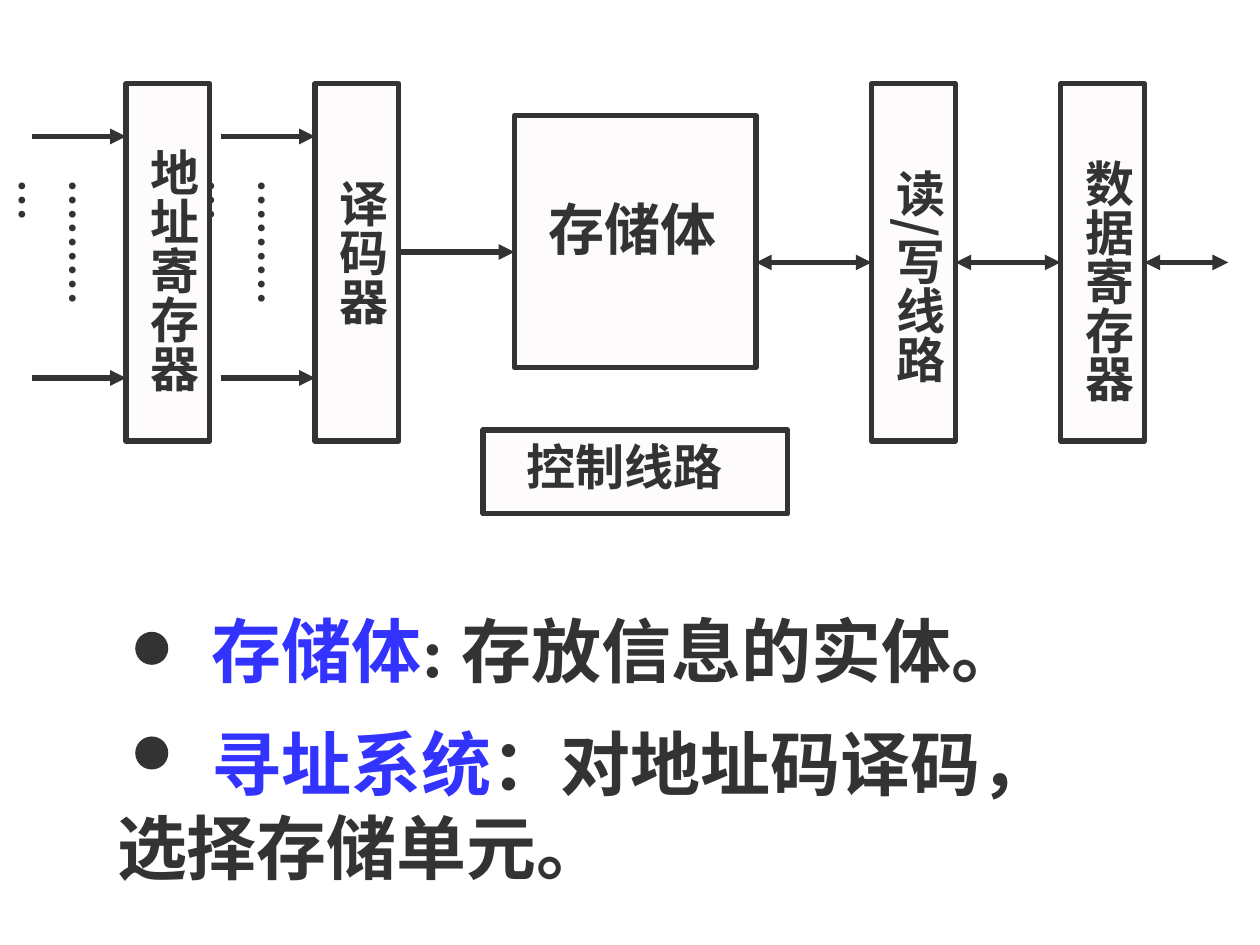
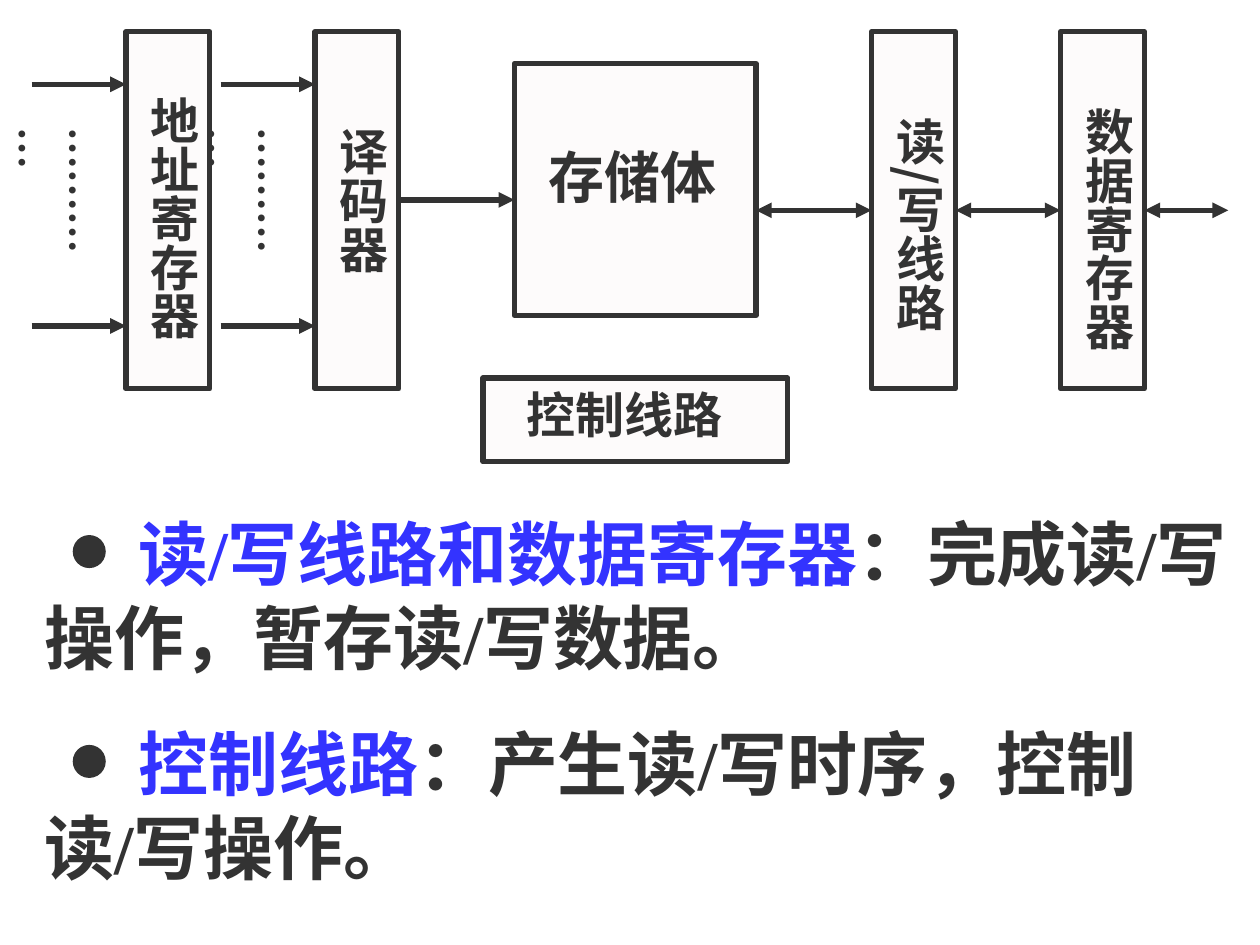
"""Builds two slides that explain the parts of a memory and their roles."""
from lxml import etree
from pptx import Presentation, util as u
from pptx.dml.color import RGBColor
from pptx.enum import shapes, text
from pptx.oxml.ns import qn

INK = RGBColor(0x33, 0x33, 0x33)
PANEL = RGBColor(0xFD, 0xFB, 0xFB)
TERM = RGBColor(0x33, 0x33, 0xFF)
LATIN, CJK = "Times New Roman", "Noto Sans CJK SC"

REGISTER_W, REGISTER_H = 1.69, 7.2
COLUMN_STEP = 3.81
ADDRESS_X, READ_WRITE_X = 2.54, 17.57
DECODER_X, DATA_X = ADDRESS_X + COLUMN_STEP, READ_WRITE_X + COLUMN_STEP
STORAGE_X, STORAGE_W = 10.37, 4.87
LEFT_SIDE, RIGHT_SIDE = 1, 3

HORIZONTAL = {"margin_left": u.Cm(0.25), "margin_right": u.Cm(0.25),
              "margin_top": u.Cm(0.13), "margin_bottom": u.Cm(0.13)}
VERTICAL = {"margin_left": u.Cm(0.13), "margin_right": u.Cm(0.13),
            "margin_top": u.Cm(0.25), "margin_bottom": u.Cm(0.25)}
FRAME = {"word_wrap": True, "auto_size": text.MSO_AUTO_SIZE.SHAPE_TO_FIT_TEXT}


def apply(target, values):
    for name, value in values.items():
        setattr(target, name, value)


class Deck:
    def __init__(self):
        self.prs = Presentation()
        apply(self.prs, {"slide_width": u.Cm(25.4), "slide_height": u.Cm(19.05)})

    def new_slide(self):
        self.slide = self.prs.slides.add_slide(self.prs.slide_layouts[6])
        self.canvas = self.slide.shapes

    def solid(self, preset, box, fill, weight):
        shape = self.canvas.add_shape(preset, *map(u.Cm, box))
        shape.shadow.inherit = False
        shape.fill.solid()
        shape.fill.fore_color.rgb = fill
        shape.line.color.rgb = INK
        shape.line.width = u.Pt(weight)
        return shape

    def block(self, *box):
        return self.solid(shapes.MSO_SHAPE.RECTANGLE, box, PANEL, 3)

    def dot(self, left, top):
        self.solid(shapes.MSO_SHAPE.OVAL, (left, top, 0.64, 0.64), INK, 0.75)

    def label(self, box, runs, size, vertical=False, latin=LATIN, indent=0):
        frame = self.canvas.add_textbox(*map(u.Cm, box)).text_frame
        apply(frame, FRAME | (VERTICAL if vertical else HORIZONTAL))
        if vertical:
            frame._txBody.bodyPr.set("vert", "eaVert")
        paragraph = frame.paragraphs[0]
        if indent:
            paragraph._p.get_or_add_pPr().set("indent", str(u.Cm(indent)))
        for words, color in runs:
            run = paragraph.add_run()
            run.text = words
            apply(run.font, {"size": u.Pt(size), "bold": True, "name": latin})
            run.font.color.rgb = color
            etree.SubElement(run._r.rPr, qn("a:ea"), typeface=CJK)

    def arrow(self, start, end, y, source=None, target=None, both=False):
        link = self.canvas.add_connector(shapes.MSO_CONNECTOR.STRAIGHT,
                                         u.Cm(start), u.Cm(y), u.Cm(end), u.Cm(y))
        link.line.color.rgb = INK
        link.line.width = u.Pt(3)
        for tag in ("a:headEnd", "a:tailEnd")[0 if both else 1:]:
            etree.SubElement(link.line._get_or_add_ln(), qn(tag), type="triangle")
        etree.SubElement(link._element.spPr, qn("a:effectLst"))
        if source:
            link.begin_connect(source, RIGHT_SIDE)
        if target:
            link.end_connect(target, LEFT_SIDE)

    def memory_diagram(self, top):
        self.canvas = self.slide.shapes.add_group_shape().shapes
        self.block(STORAGE_X, top + 0.64, STORAGE_W, 5.08)
        address, decoder, read_write, data = [
            self.block(x, top, REGISTER_W, REGISTER_H)
            for x in (ADDRESS_X, DECODER_X, READ_WRITE_X, DATA_X)]
        self.block(9.74, top + 6.98, 6.14, 1.69)

        self.label((10.8, top + 2.11, 4.01, 1.63), [("存储体", INK)], 32)
        for words, x, drop, height, latin in (
                ("地址寄存器", ADDRESS_X, 1.05, 5.92, LATIN),
                ("译码器", DECODER_X, 1.68, 4.65, LATIN),
                ("读/写线路", READ_WRITE_X, 1.48, 6.15, CJK),
                ("数据寄存器", DATA_X, 1.27, 5.51, LATIN)):
            self.label((x, top + drop, 1.68, height), [(words, INK)], 28, True, latin)
        self.label((10.37, top + 6.98, 5.72, 1.45), [("控制线路", INK)], 28)

        for x in (ADDRESS_X, DECODER_X):
            for drop in (1.06, 5.93):
                self.arrow(x - 1.9, x, top + drop)
            self.label((x - 1.68, top + 1.68, 1.52, 3.81), [("…………", INK)], 24, True)
        self.arrow(DECODER_X + REGISTER_W, STORAGE_X, top + 3.39)

        middle = top + REGISTER_H / 2
        self.arrow(STORAGE_X + STORAGE_W, READ_WRITE_X, middle,
                   target=read_write, both=True)
        self.arrow(READ_WRITE_X + REGISTER_W, DATA_X, middle, read_write, data, True)
        self.arrow(DATA_X + REGISTER_W, 24.76, middle, data, both=True)
        self.canvas = self.slide.shapes

    def definition(self, box, term, meaning, dot_at):
        self.label(box, [(term, TERM), (meaning, INK)], 40, indent=1.9)
        self.dot(*dot_at)


SLIDES = (
    (1.69, (
        ((2.11, 12.12, 21.39, 1.96), "存储体", ": 存放信息的实体。", (2.74, 12.75)),
        ((2.11, 14.4, 19.89, 3.66), "寻址系统", "：对地址码译码，选择存储单元。",
         (2.74, 14.86)))),
    (0.64, (
        ((0.64, 10.16, 24.76, 3.66), "读/写线路和数据寄存器",
         "：完成读/写操作，暂存读/写数据。", (1.48, 10.8)),
        ((0.64, 14.4, 24.76, 3.66), "控制线路", "：产生读/写时序，控制读/写操作。",
         (1.48, 15.03)))),
)


def main():
    deck = Deck()
    for diagram_top, definitions in SLIDES:
        deck.new_slide()
        deck.memory_diagram(diagram_top)
        for definition in definitions:
            deck.definition(*definition)
    deck.prs.save("out.pptx")


if __name__ == "__main__":
    main()
